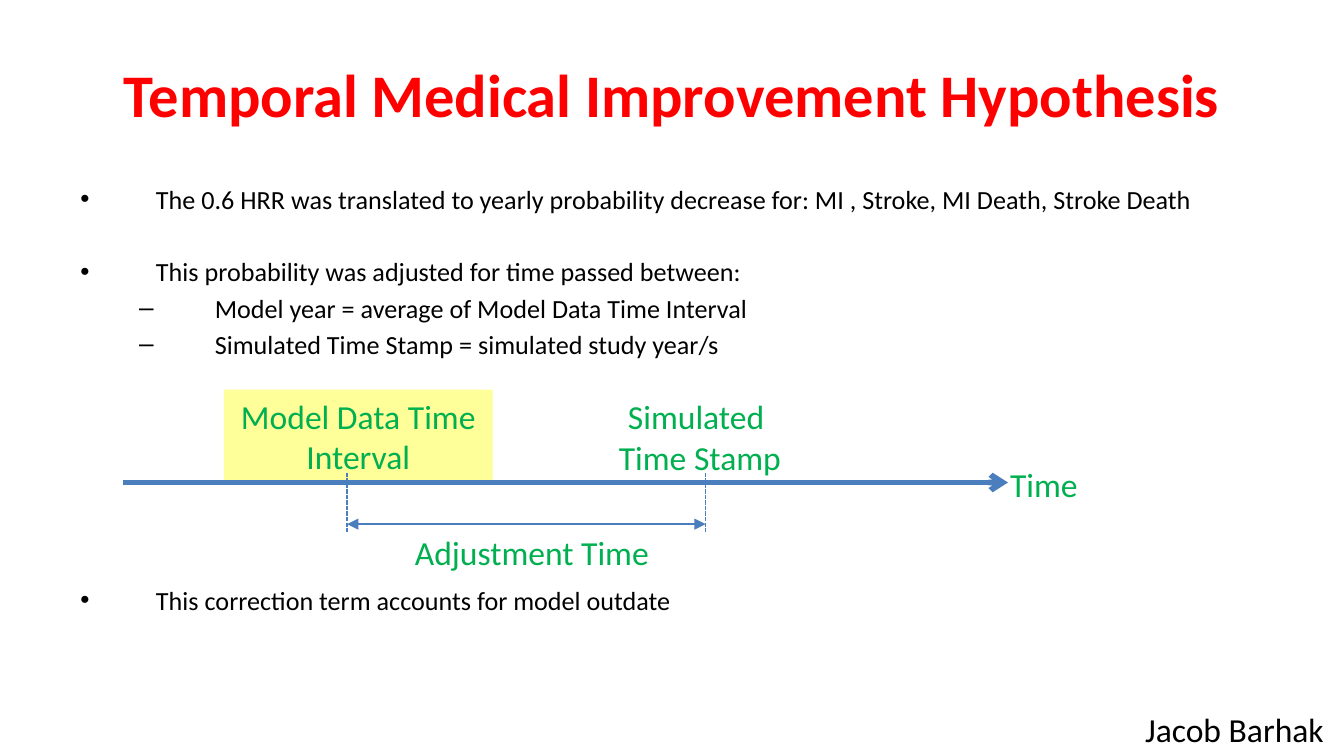
from dataclasses import dataclass

import pptx
import pptx.dml.color
import pptx.enum.dml
import pptx.enum.shapes
import pptx.enum.text
import pptx.oxml
import pptx.oxml.ns
import pptx.util

Pt = pptx.util.Pt
ALIGN = pptx.enum.text.PP_ALIGN
ANCHOR = pptx.enum.text.MSO_ANCHOR

BLACK, RED, GREEN = "000000", "FF0000", "00B050"
YELLOW, BLUE = "FFFF99", "4B7EBC"

# Timeline geometry, in points
MODEL_YEAR, STUDY_YEAR = 186, 378
AXIS_Y, ADJUSTMENT_Y = 258.5, 280.8
TICK_TOP, TICK_BOTTOM = 253.4, 285.1


@dataclass(frozen=True)
class Label:
    lines: tuple[str, ...]
    left: float
    top: float
    width: float
    height: float
    color: str = GREEN
    size: float = 18
    bold: bool = False
    align: ALIGN = ALIGN.CENTER
    anchor: ANCHOR = ANCHOR.TOP
    fill: str | None = None


@dataclass(frozen=True)
class Bullet:
    text: str
    level: int = 0
    space_before: float = 2.55


@dataclass(frozen=True)
class Line:
    start: tuple[float, float]
    end: tuple[float, float]
    width: float = 0.75
    dashed: bool = False
    head: str | None = None
    tail: str | None = None


LABELS = (
    Label(("Jacob Barhak",), 606.4, 376.4, 113.6, 28.8, BLACK, align=ALIGN.LEFT),
    Label(("Temporal Medical Improvement Hypothesis",), 36, 16.3, 648, 67.7,
          RED, 32.4, True, anchor=ANCHOR.MIDDLE),
    Label(("Time",), 534, 244.8, 132, 28.8, align=ALIGN.LEFT),
    Label(("Model Data Time Interval",), 120, 208.8, 144, 49.7,
          anchor=ANCHOR.MIDDLE, fill=YELLOW),
    Label(("Simulated ", "Time Stamp"), 324, 208.8, 102, 51),
    Label(("Adjustment Time",), 198, 281.6, 174, 28.8),
)

BULLETS = (
    Bullet("The 0.6 HRR was translated to yearly probability decrease for: "
           "MI , Stroke, MI Death, Stroke Death", space_before=0),
    Bullet("This probability was adjusted for time passed between:", space_before=22.2),
    Bullet("Model year = average of Model Data Time Interval", 1),
    Bullet("Simulated Time Stamp = simulated study year/s", 1),
    Bullet("This correction term accounts for model outdate", space_before=120.4),
)

LINES = (
    *(Line((x, TICK_TOP), (x, TICK_BOTTOM), dashed=True) for x in (MODEL_YEAR, STUDY_YEAR)),
    Line((MODEL_YEAR, ADJUSTMENT_Y), (STUDY_YEAR, ADJUSTMENT_Y),
         head="triangle", tail="triangle"),
    Line((66, AXIS_Y), (540, AXIS_Y), width=3, tail="arrow"),
)


def rgb(color: str) -> pptx.dml.color.RGBColor:
    return pptx.dml.color.RGBColor.from_string(color)


def apply_format(target, values: dict) -> None:
    for name, value in values.items():
        setattr(target, name, value)


def add_run(paragraph, text: str, color: str, size: float, bold: bool = False) -> None:
    run = paragraph.add_run()
    run.text = text
    apply_format(run.font, {"name": "Calibri", "size": Pt(size), "bold": bold})
    run.font.color.rgb = rgb(color)


def add_label(slide, label: Label) -> None:
    box = [Pt(value) for value in (label.left, label.top, label.width, label.height)]
    if label.fill:
        shape = slide.shapes.add_shape(pptx.enum.shapes.MSO_SHAPE.RECTANGLE, *box)
        shape.shadow.inherit = False
        shape.fill.solid()
        shape.fill.fore_color.rgb = rgb(label.fill)
        shape.line.fill.background()
    else:
        shape = slide.shapes.add_textbox(*box)
    frame = shape.text_frame
    apply_format(frame, {"word_wrap": True, "vertical_anchor": label.anchor})
    for index, text in enumerate(label.lines):
        paragraph = frame.add_paragraph() if index else frame.paragraphs[0]
        paragraph.alignment = label.align
        add_run(paragraph, text, label.color, label.size, label.bold)


def add_bullets(slide, bullets: tuple[Bullet, ...]) -> None:
    frame = slide.shapes.add_textbox(Pt(36), Pt(94.5), Pt(648), Pt(267)).text_frame
    frame.word_wrap = True
    for index, bullet in enumerate(bullets):
        paragraph = frame.add_paragraph() if index else frame.paragraphs[0]
        properties = paragraph._p.get_or_add_pPr()
        properties.set("marL", str(Pt((40.5, 72)[bullet.level])))
        properties.set("indent", str(-Pt(40.5)))
        font = pptx.oxml.parse_xml(
            f'<a:buFont {pptx.oxml.ns.nsdecls("a")} typeface="Arial"/>')
        mark = pptx.oxml.parse_xml(
            f'<a:buChar {pptx.oxml.ns.nsdecls("a")} char="{"•–"[bullet.level]}"/>')
        properties.extend((font, mark))
        apply_format(paragraph, {"level": bullet.level,
                                 "space_before": Pt(bullet.space_before)})
        add_run(paragraph, bullet.text, BLACK, 14)


def add_line(slide, line: Line) -> None:
    connector = slide.shapes.add_connector(
        pptx.enum.shapes.MSO_CONNECTOR.STRAIGHT,
        *(Pt(value) for value in line.start + line.end))
    connector.line.color.rgb = rgb(BLUE)
    connector.line.width = Pt(line.width)
    if line.dashed:
        connector.line.dash_style = pptx.enum.dml.MSO_LINE.SQUARE_DOT
    outline = connector.line._get_or_add_ln()
    for tag, kind in (("headEnd", line.head), ("tailEnd", line.tail)):
        if kind:
            outline.append(pptx.oxml.parse_xml(
                f'<a:{tag} {pptx.oxml.ns.nsdecls("a")} type="{kind}"/>'))
    connector._element.spPr.append(pptx.oxml.parse_xml(
        f'<a:effectLst {pptx.oxml.ns.nsdecls("a")}/>'))


def main() -> None:
    presentation = pptx.Presentation()
    apply_format(presentation, {"slide_width": Pt(720), "slide_height": Pt(405)})
    slide = presentation.slides.add_slide(presentation.slide_layouts[6])

    # Body text
    add_bullets(slide, BULLETS)

    # Title, author and timeline labels
    for label in LABELS:
        add_label(slide, label)

    # Timeline axis, ticks and adjustment span
    for line in LINES:
        add_line(slide, line)

    presentation.save("out.pptx")


if __name__ == "__main__":
    main()
